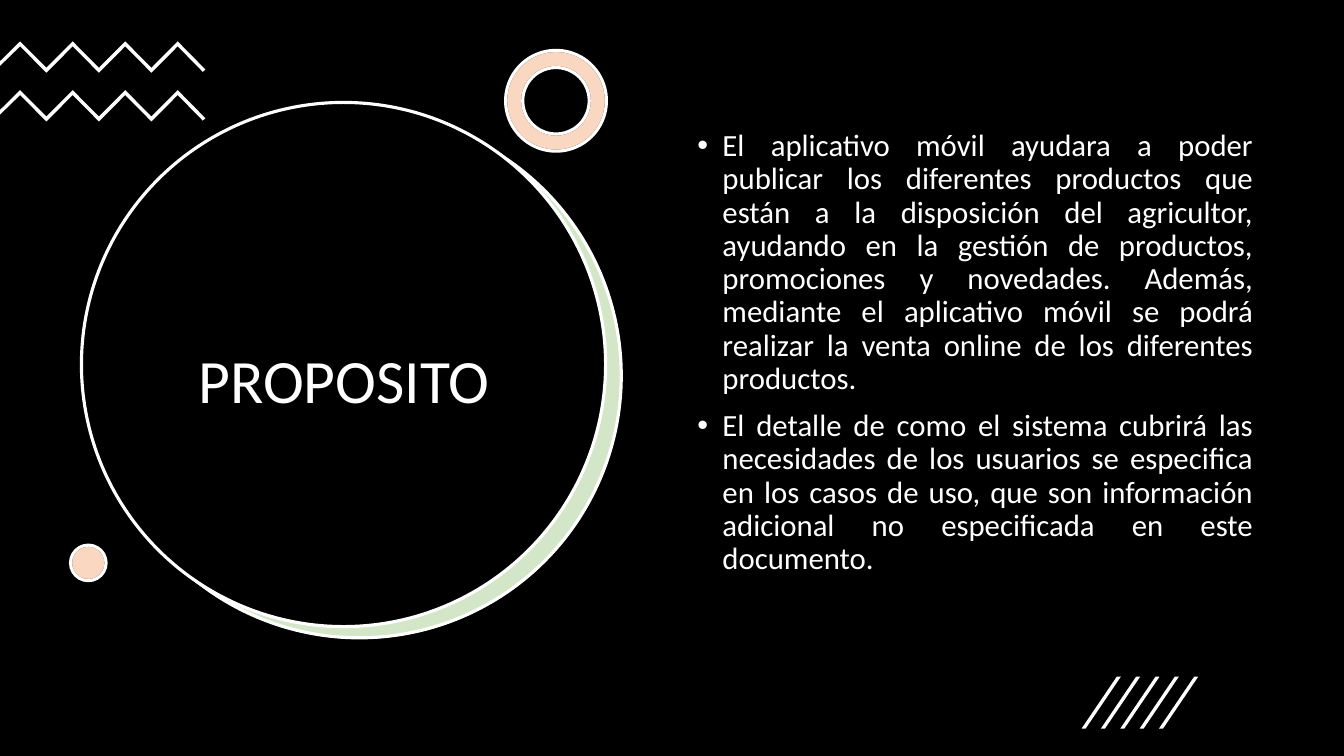
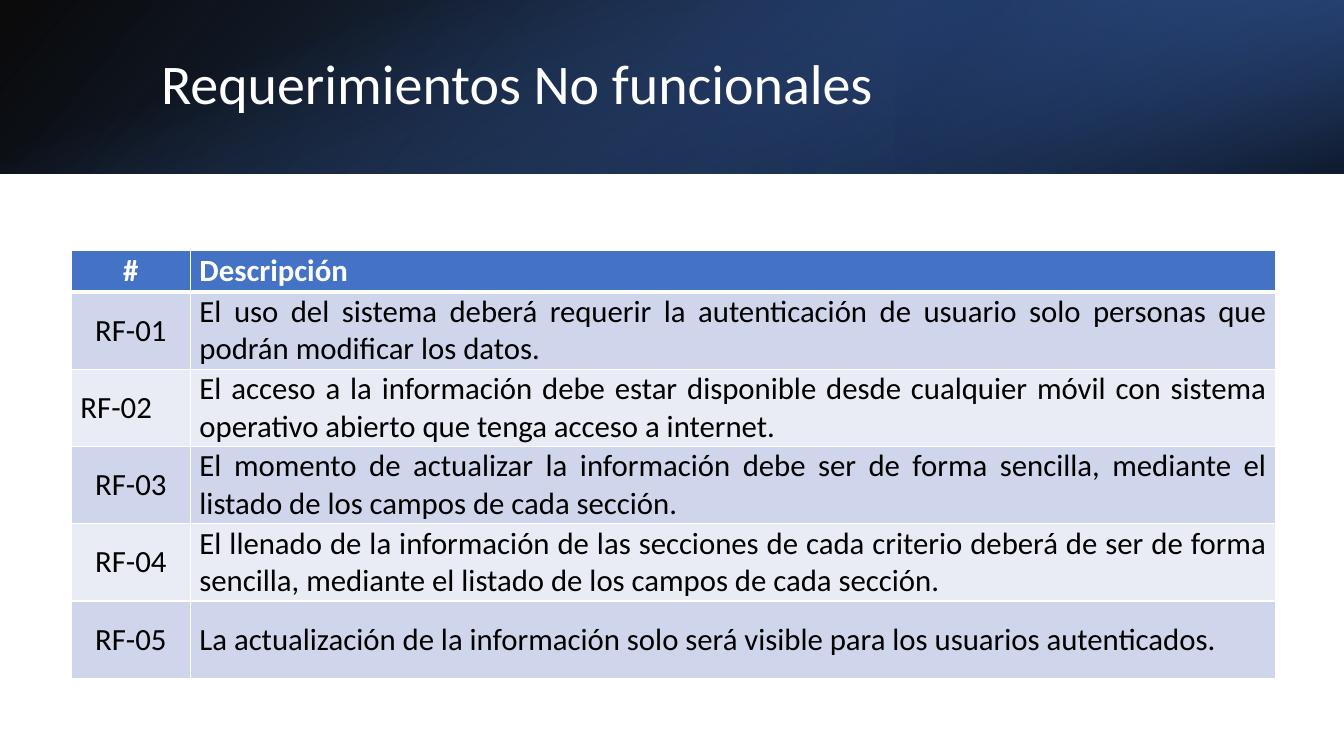
import pptx
import pptx.util
import pptx.dml.color
import pptx.enum.shapes
import pptx.enum.text
import pptx.oxml
import pptx.oxml.ns

Pt = pptx.util.Pt
SHAPE = pptx.enum.shapes.MSO_SHAPE
ALIGN = pptx.enum.text.PP_ALIGN
MIDDLE = pptx.enum.text.MSO_ANCHOR.MIDDLE
qn = pptx.oxml.ns.qn

FONT = "Calibri"
WHITE, BLACK = "FFFFFF", "000000"
GREEN, ORANGE, BLUE = "70AD47", "ED7D31", "4472C4"
STRIPES = ("CFD5EA", "E9EBF5")
WIDTH, HEIGHT = 960, 540
BAND_HEIGHT = 124
OUTLINE = 2.25

PURPOSE_TITLE = "PROPOSITO"
PURPOSE = [
    "El aplicativo móvil ayudara a poder publicar los diferentes productos que están a la disposición del agricultor, ayudando en la gestión de productos, promociones y novedades. Además, mediante el aplicativo móvil se podrá realizar la venta online de los diferentes productos.",
    "El detalle de como el sistema cubrirá las necesidades de los usuarios se especifica en los casos de uso, que son información adicional no especificada en este documento.",
]

REQUIREMENTS_TITLE = "Requerimientos No funcionales"
HEADER = ("#", "Descripción")
REQUIREMENTS = [
    ("RF-01", "El uso del sistema deberá requerir la autenticación de usuario solo personas que podrán modificar los datos."),
    ("RF-02", "El acceso a la información debe estar disponible desde cualquier móvil con sistema operativo abierto que tenga acceso a internet."),
    ("RF-03", "El momento de actualizar la información debe ser de forma sencilla, mediante el listado de los campos de cada sección."),
    ("RF-04", "El llenado de la información de las secciones de cada criterio deberá de ser de forma sencilla, mediante el listado de los campos de cada sección."),
    ("RF-05", "La actualización de la información solo será visible para los usuarios autenticados."),
]
LEFT_ALIGNED = "RF-02"
COLUMN_WIDTHS = (85, 775.4)
HEADER_HEIGHT, ROW_HEIGHT = 29.5, 55.2

BAND_LAYERS = [
    dict(box=(0, 0, WIDTH, BAND_HEIGHT), rotation=0, flip=True, angle=140,
         stops=((0, BLACK, 96), (100, "2F5597", 100))),
    dict(box=(WIDTH * 2 / 3, 0, WIDTH / 3, BAND_HEIGHT), rotation=180, flip=True, angle=320,
         stops=((19, "203864", 68), (100, BLUE, 79))),
    dict(box=((WIDTH - BAND_HEIGHT) / 2, (BAND_HEIGHT - WIDTH) / 2, BAND_HEIGHT, WIDTH),
         rotation=90, flip=False, angle=340,
         stops=((23, BLUE, 0), (99, BLACK, 74))),
]


def rgb(value):
    return pptx.dml.color.RGBColor.from_string(value)


def points(values):
    return [Pt(value) for value in values]


def set_opacity(color_element, percent):
    alpha = pptx.oxml.parse_xml(
        f'<a:alpha {pptx.oxml.ns.nsdecls("a")} val="{percent * 1000}"/>')
    color_element.append(alpha)


def paint(shape, fill, line=None, opacity=100):
    shape.shadow.inherit = False
    shape.fill.solid()
    shape.fill.fore_color.rgb = rgb(fill)
    if opacity < 100:
        set_opacity(shape.fill._xPr.find(".//" + qn("a:srgbClr")), opacity)
    if line:
        shape.line.color.rgb = rgb(line)
        shape.line.width = Pt(OUTLINE)
    else:
        shape.line.fill.background()


def add_preset(page, kind, box, fill, line=None, opacity=100):
    shape = page.shapes.add_shape(kind, *points(box))
    paint(shape, fill, line, opacity)
    return shape


def add_outline(page, corners):
    corners = [points(corner) for corner in corners]
    builder = page.shapes.build_freeform(*corners[0])
    builder.add_line_segments(corners[1:], close=True)
    paint(builder.convert_to_shape(), WHITE)


def style(para, size, color, align, bold=False):
    para.alignment = align
    for span in para.runs:
        span.font.name = FONT
        span.font.size = Pt(size)
        span.font.bold = bold
        span.font.color.rgb = rgb(color)


def add_text(page, box, text, size, align):
    frame = page.shapes.add_textbox(*points(box)).text_frame
    frame.word_wrap = True
    frame.text = text
    for para in frame.paragraphs:
        style(para, size, WHITE, align)
        para.line_spacing = 0.9
    return frame


def add_title(page, box, text, size, align):
    add_text(page, box, text, size, align).vertical_anchor = MIDDLE


def add_bullets(page, box, lines):
    frame = add_text(page, box, "\n".join(lines), 22, ALIGN.JUSTIFY)
    for para in frame.paragraphs:
        para.space_after = Pt(10)
        properties = para._p.get_or_add_pPr()
        properties.set("marL", str(Pt(18)))
        properties.set("indent", str(-Pt(18)))
        namespace = pptx.oxml.ns.nsdecls("a")
        properties.append(pptx.oxml.parse_xml(f'<a:buFont {namespace} typeface="Arial"/>'))
        properties.append(pptx.oxml.parse_xml(f'<a:buChar {namespace} char="•"/>'))


def add_zigzag(page, top):
    first, step, depth, thickness = 14.4, 18.76, 18.9, 3.5
    crest = [(first + step * i, top + depth * (i % 2)) for i in range(7)]
    under = [(x, y + thickness) for x, y in reversed(crest)]
    tip = [(146.7, top + 20.1), (144.9, top + 21.8)]
    edge = [(0, top + 17.5), (0, top + 14.2)]
    add_outline(page, crest + tip + under + edge)


def add_slashes(page):
    top, bottom = 483.4, 520.4
    for i in range(5):
        left = 772.6 + 13.82 * i
        add_outline(page, [(left + 2.9, bottom), (left, bottom),
                           (left + 25.1, top), (left + 28, top)])


def add_tinted(page, kind, box):
    for fill, line, opacity in ((WHITE, BLACK, 100), (ORANGE, WHITE, 30)):
        shape = add_preset(page, kind, box, fill, line, opacity)
        if kind == SHAPE.DONUT:
            shape.adjustments[0] = 0.17


def add_gradient(page, box, rotation, flip, angle, stops):
    shape = add_preset(page, SHAPE.RECTANGLE, box, BLACK)
    shape.rotation = rotation
    if flip:
        shape._element.spPr.find(qn("a:xfrm")).set("flipH", "1")
    shape.fill.gradient()
    shape.fill.gradient_angle = 360 - angle
    for stop, (position, color, opacity) in zip(shape.fill.gradient_stops, stops):
        stop.position = position / 100
        stop.color.rgb = rgb(color)
        set_opacity(stop._gs.find(qn("a:srgbClr")), opacity)


def set_borders(cell, bottom, top):
    properties = cell._tc.get_or_add_tcPr()
    for i, (side, width) in enumerate((("L", 1), ("R", 1), ("T", top), ("B", bottom))):
        properties.insert(i, pptx.oxml.parse_xml(
            f'<a:ln{side} {pptx.oxml.ns.nsdecls("a")} w="{Pt(width)}">'
            f'<a:solidFill><a:srgbClr val="{WHITE}"/></a:solidFill></a:ln{side}>'))


def add_requirements(page):
    rows = [HEADER] + REQUIREMENTS
    heights = [HEADER_HEIGHT] + [ROW_HEIGHT] * len(REQUIREMENTS)
    box = (51, 179, sum(COLUMN_WIDTHS), sum(heights))
    table = page.shapes.add_table(len(rows), len(HEADER), *points(box)).table
    for column, width in zip(table.columns, COLUMN_WIDTHS):
        column.width = Pt(width)
    for i, (texts, height) in enumerate(zip(rows, heights)):
        table.rows[i].height = Pt(height)
        header = i == 0
        number_align = ALIGN.LEFT if texts[0] == LEFT_ALIGNED else ALIGN.CENTER
        text_align = ALIGN.LEFT if header else ALIGN.JUSTIFY
        for j, align in enumerate((number_align, text_align)):
            cell = table.cell(i, j)
            cell.text_frame.text = texts[j]
            style(cell.text_frame.paragraphs[0], 22, WHITE if header else BLACK, align, header)
            cell.vertical_anchor = MIDDLE
            cell.margin_left = cell.margin_right = Pt(6.5)
            cell.margin_top = cell.margin_bottom = 0
            cell.fill.solid()
            cell.fill.fore_color.rgb = rgb(BLUE if header else STRIPES[(i - 1) % 2])
            set_borders(cell, bottom=3 if header else 1, top=3 if i == 1 else 1)


def build_purpose(page):
    add_preset(page, SHAPE.RECTANGLE, (0, 0, WIDTH, HEIGHT), BLACK)
    size = 374.4
    add_preset(page, SHAPE.OVAL, (69.8, 82, size, size), WHITE)
    add_preset(page, SHAPE.OVAL, (69.4, 81.2, size, size), GREEN, WHITE, 30)
    add_preset(page, SHAPE.OVAL, (58.2, 73.2, size, size), BLACK, WHITE)
    add_title(page, (87, 147.6, 317.5, 253.4), PURPOSE_TITLE, 44, ALIGN.CENTER)
    for top in (29.6, 64.4):
        add_zigzag(page, top)
    add_tinted(page, SHAPE.DONUT, (361.2, 36, 72, 72))
    add_tinted(page, SHAPE.OVAL, (50.4, 389.4, 25.4, 25.4))
    add_bullets(page, (491, 89.3, 411.1, 342.7), PURPOSE)
    add_slashes(page)


def build_requirements(page):
    for layer in BAND_LAYERS:
        add_gradient(page, **layer)
    add_title(page, (108, 27.4, 790.6, 69.1), REQUIREMENTS_TITLE, 40, ALIGN.LEFT)
    add_requirements(page)


def main():
    deck = pptx.Presentation()
    deck.slide_width, deck.slide_height = Pt(WIDTH), Pt(HEIGHT)
    for build in (build_purpose, build_requirements):
        build(deck.slides.add_slide(deck.slide_layouts[6]))
    deck.save("out.pptx")


if __name__ == "__main__":
    main()
